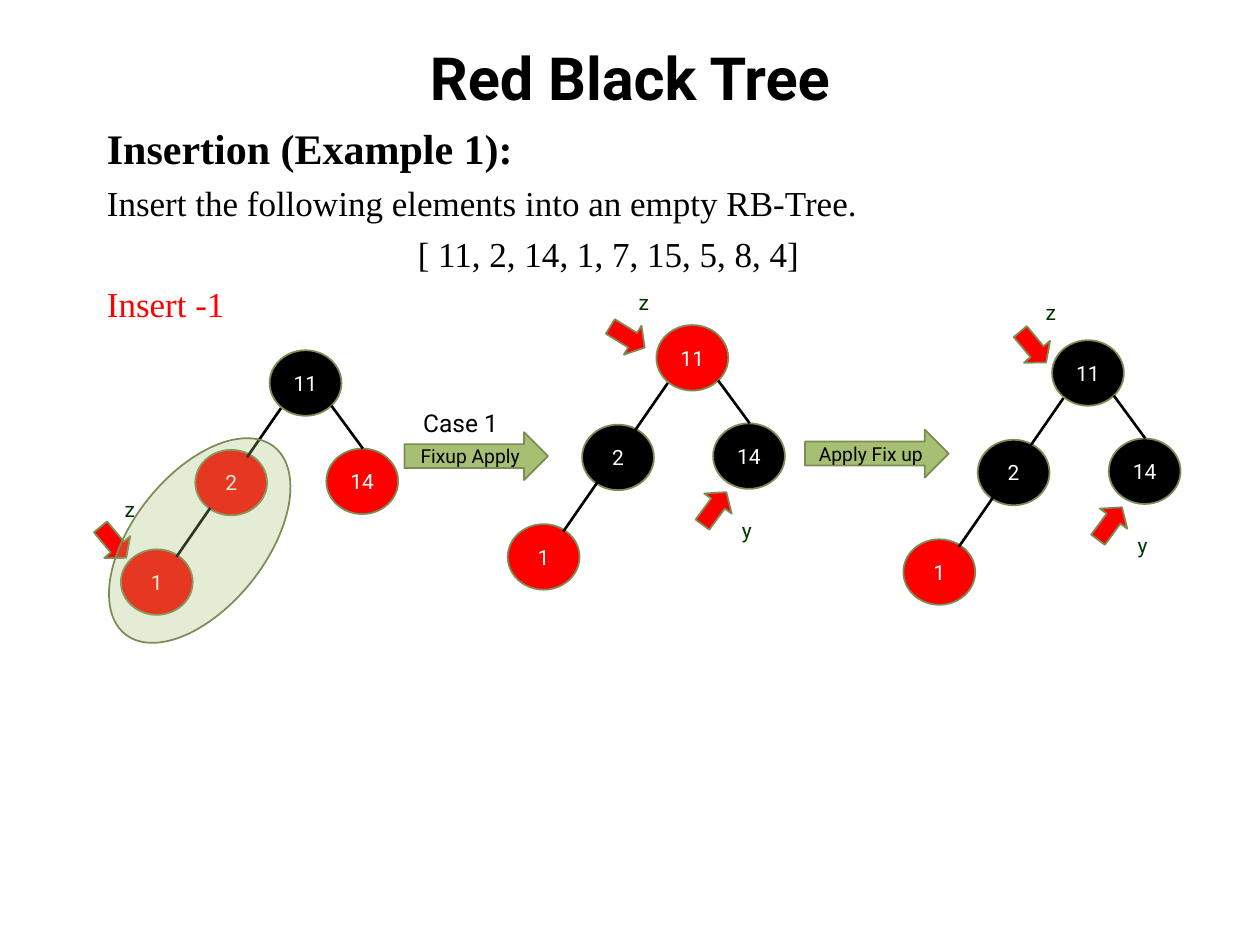
import pptx
import pptx.dml.color
import pptx.enum.shapes
import pptx.enum.text
import pptx.oxml.ns
import pptx.util
from lxml import etree
from pptx.util import Inches

SHAPES = pptx.enum.shapes.MSO_SHAPE
ALIGN = pptx.enum.text.PP_ALIGN
ANCHOR = pptx.enum.text.MSO_ANCHOR

BLACK, WHITE, RED = "000000", "FFFFFF", "FF0000"
GREEN, OLIVE, DARK_GREEN = "A6BF73", "7B8D55", "003300"

NODE_SIZE = (0.57, 0.52)
# Offsets from the top left corner of the root node
NODE_OFFSETS = {"11": (0, 0), "2": (-0.59, 0.79), "14": (0.45, 0.78), "1": (-1.18, 1.58)}
EDGE_OFFSETS = [
    ((0.09, 0.46), (-0.18, 0.85)),
    ((0.49, 0.44), (0.74, 0.78)),
    ((-0.47, 1.25), (-0.74, 1.64)),
]


def color(value):
    return pptx.dml.color.RGBColor.from_string(value)


class TreeSlide:
    font = "Roboto"
    body_font = "Times New Roman"

    def __init__(self, slide):
        self.slide = slide

    def format_paragraph(self, paragraph, size, text_color=BLACK, align=ALIGN.LEFT,
                         bold=False, font=None):
        paragraph.alignment = align
        for run in paragraph.runs:
            run.font.name = font or self.font
            run.font.size = pptx.util.Pt(size)
            run.font.bold = bold
            run.font.color.rgb = color(text_color)

    def text_box(self, left, top, width, height, wrap=True):
        box = self.slide.shapes.add_textbox(*map(Inches, (left, top, width, height)))
        box.text_frame.word_wrap = wrap
        return box.text_frame

    def title(self, text):
        frame = self.text_box(0.5, 0.21, 9, 0.79)
        frame.vertical_anchor = ANCHOR.MIDDLE
        frame.text = text
        self.format_paragraph(frame.paragraphs[0], 34, align=ALIGN.CENTER, bold=True)

    def body(self, lines):
        frame = self.text_box(0.75, 0.92, 8.16, 1.79)
        frame.text = "\n".join(line[0] for line in lines)
        for index, (text, size, text_color, align, bold) in enumerate(lines):
            paragraph = frame.paragraphs[index]
            if index:
                paragraph.space_before = pptx.util.Pt(5)
            self.format_paragraph(paragraph, size, text_color, align, bold, self.body_font)

    def label(self, text, left, top, size=12, text_color=DARK_GREEN, width=0.27, height=0.3):
        frame = self.text_box(left, top, width, height, wrap=False)
        frame.text = text
        self.format_paragraph(frame.paragraphs[0], size, text_color)

    def shape(self, kind, left, top, width, height, fill, text="", size=12,
              text_color=WHITE, rotation=0):
        shape = self.slide.shapes.add_shape(kind, *map(Inches, (left, top, width, height)))
        shape.shadow.inherit = False
        shape.rotation = rotation
        shape.fill.solid()
        shape.fill.fore_color.rgb = color(fill)
        shape.line.color.rgb = color(OLIVE)
        shape.line.width = pptx.util.Pt(1)
        if text:
            frame = shape.text_frame
            frame.margin_left = frame.margin_right = 0
            frame.margin_top = frame.margin_bottom = 0
            frame.vertical_anchor = ANCHOR.MIDDLE
            frame.text = text
            self.format_paragraph(frame.paragraphs[0], size, text_color, ALIGN.CENTER)
        return shape

    def step_arrow(self, text, left, top):
        self.shape(SHAPES.RIGHT_ARROW, left, top, 1.14, 0.38, GREEN, text, 11, BLACK)

    def pointer(self, left, top, rotation):
        arrow = self.shape(SHAPES.RIGHT_ARROW, left, top, 0.32, 0.27, RED, rotation=rotation)
        arrow.adjustments[1] = 0.415

    def edge(self, start, end):
        line = self.slide.shapes.add_connector(
            pptx.enum.shapes.MSO_CONNECTOR.STRAIGHT, *map(Inches, (*start, *end)))
        line.line.color.rgb = color(BLACK)
        line.line.width = pptx.util.Pt(1.5)
        etree.SubElement(line._element.spPr, pptx.oxml.ns.qn("a:effectLst"))

    def tree(self, left, top, red_nodes):
        """Draw the four-node tree with its root node at left, top."""
        for key, (dx, dy) in NODE_OFFSETS.items():
            fill = RED if key in red_nodes else BLACK
            self.shape(SHAPES.OVAL, left + dx, top + dy, *NODE_SIZE, fill, key)
        for ends in EDGE_OFFSETS:
            self.edge(*((left + dx, top + dy) for dx, dy in ends))

    def uncle_marker(self, left, top):
        """Mark node 14 as y in the tree whose root is at left, top."""
        self.pointer(left + 0.3, top + 1.32, 306.3)
        self.label("y", left + 0.58, top + 1.48)

    def highlight(self, left, top, width, height, rotation):
        oval = self.shape(SHAPES.OVAL, left, top, width, height, GREEN, rotation=rotation)
        fill = oval._element.spPr.find(pptx.oxml.ns.qn("a:solidFill"))
        etree.SubElement(fill[0], pptx.oxml.ns.qn("a:alpha"), val="29000")


def main():
    presentation = pptx.Presentation()
    presentation.slide_width, presentation.slide_height = Inches(10), Inches(7.5)
    page = TreeSlide(presentation.slides.add_slide(presentation.slide_layouts[6]))

    page.title("Red Black Tree")
    page.body([
        ("Insertion (Example 1):", 24, BLACK, ALIGN.JUSTIFY, True),
        ("Insert the following elements into an empty RB-Tree.", 20, BLACK, ALIGN.JUSTIFY, False),
        ("[ 11, 2, 14, 1, 7, 15, 5, 8, 4]", 20, BLACK, ALIGN.CENTER, False),
        ("Insert -1", 20, RED, ALIGN.LEFT, False),
    ])

    page.step_arrow("Fixup Apply", 3.21, 3.43)
    page.label("Case 1", 3.26, 3.19, 14, BLACK, 0.86, 0.34)
    page.step_arrow("Apply Fix up", 6.39, 3.41)

    # After case 1: the root is recoloured red
    page.tree(5.21, 2.58, {"11", "1"})
    page.pointer(4.82, 2.54, 31.5)
    page.label("z", 4.97, 2.25)
    page.uncle_marker(5.21, 2.58)

    # Final tree: the root is black again
    page.tree(8.35, 2.7, {"1"})
    page.pointer(8.04, 2.62, 50.1)
    page.label("z", 8.2, 2.33)
    page.uncle_marker(8.35, 2.7)

    # Inserted node with its red parent highlighted
    page.pointer(0.74, 4.17, 50.1)
    page.label("z", 0.89, 3.89)
    page.tree(2.14, 2.78, {"2", "14", "1"})
    page.highlight(1.06, 3.34, 1.05, 1.9, 38.5)

    presentation.save("out.pptx")


if __name__ == "__main__":
    main()
